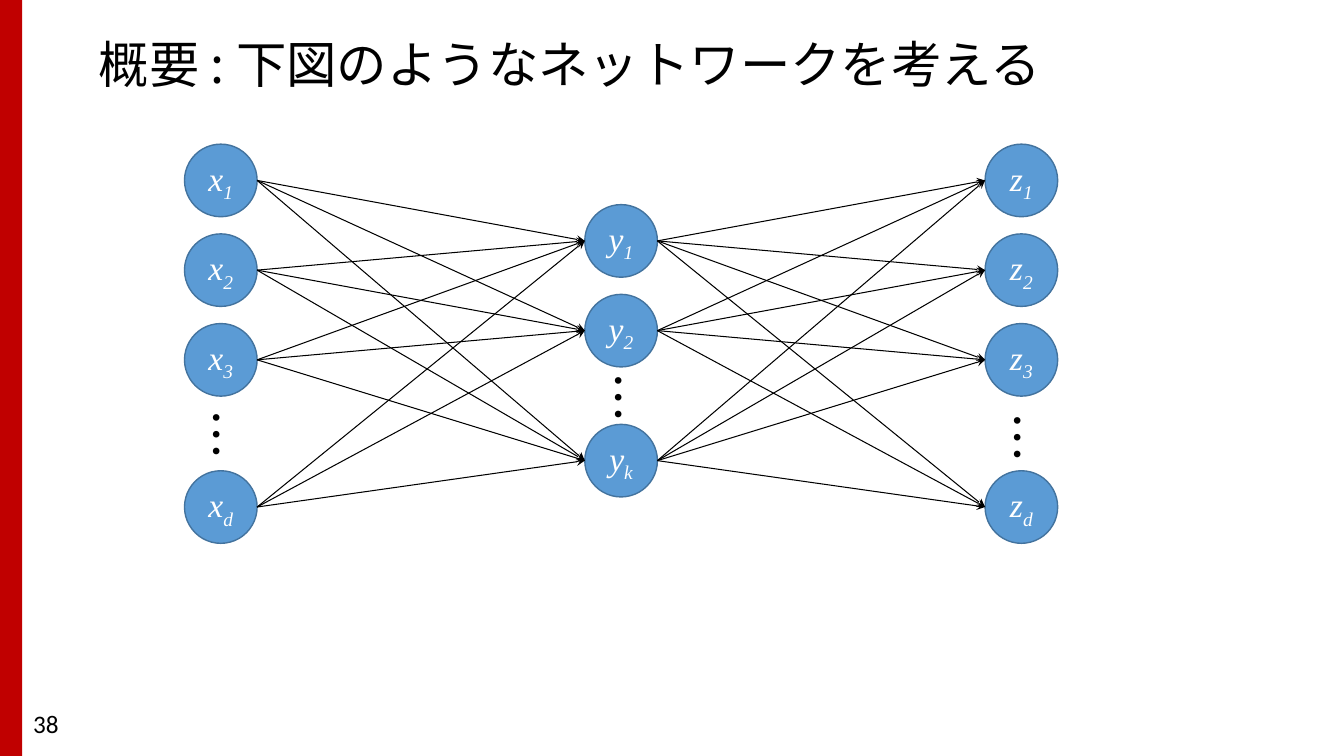
from itertools import product

from lxml.etree import SubElement
from pptx import Presentation
from pptx.dml.color import RGBColor
from pptx.enum.shapes import MSO_CONNECTOR as CONN, MSO_SHAPE as SHAPE
from pptx.enum.text import MSO_ANCHOR as ANCHOR, PP_ALIGN as ALIGN
from pptx.oxml.ns import qn
from pptx.util import Inches, Pt

COLORS = {"bar": "C00000", "node": "5B9BD5", "outline": "43739E",
          "ink": "000000", "light": "FFFFFF"}
JP, SANS, MATH = "Noto Sans CJK JP", "Calibri", "Times New Roman"

NODE = 0.72
OUTER_TOPS = [1.43, 2.32, 3.21, 4.67]
# letter, left, tops, subscripts
LAYERS = [("x", 1.83, OUTER_TOPS, "123d"),
          ("y", 5.8, [2.03, 2.92, 4.21], "12k"),
          ("z", 9.77, OUTER_TOPS, "123d")]
DOTS = [(1.7, 4.1), (5.68, 3.73), (9.64, 4.13)]


def color(name):
    return RGBColor.from_string(COLORS[name])


class NetworkSlide:
    def __init__(self, prs):
        self.s = prs.slides.add_slide(prs.slide_layouts[6])

    def style_run(self, r, size, font, ink):
        r.font.size, r.font.name = Pt(size), font
        r.font.color.rgb = color(ink)
        SubElement(r.font._element, qn("a:ea")).set("typeface", font)

    def shape(self, kind, x, y, w, h, fill, line=None):
        sp = self.s.shapes.add_shape(kind, Inches(x), Inches(y), Inches(w), Inches(h))
        sp.shadow.inherit = False
        sp.fill.solid()
        sp.fill.fore_color.rgb = color(fill)
        if line:
            sp.line.color.rgb = color(line)
            sp.line.width = Pt(1)
        else:
            sp.line.fill.background()
        return sp

    def text(self, text, x, y, w, h, size, font, anchor=ANCHOR.TOP, spacing=1.0):
        sp = self.s.shapes.add_textbox(Inches(x), Inches(y), Inches(w), Inches(h))
        tf = sp.text_frame
        tf.word_wrap = True
        tf.vertical_anchor = anchor
        p = tf.paragraphs[0]
        p.text = text
        p.line_spacing = spacing
        self.style_run(p.runs[0], size, font, "ink")
        return sp

    def node(self, letter, subscript, x, y):
        sp = self.shape(SHAPE.OVAL, x, y, NODE, NODE, "node", "outline")
        tf = sp.text_frame
        tf.margin_left = tf.margin_right = tf.margin_top = tf.margin_bottom = 0
        tf.vertical_anchor = ANCHOR.MIDDLE
        p = tf.paragraphs[0]
        p.alignment = ALIGN.CENTER
        for part in (letter, subscript):
            r = p.add_run()
            r.text = part
            self.style_run(r, 24, MATH, "light")
            r.font.italic = True
        p.runs[1].font._element.set("baseline", "-25000")
        return sp

    def arrow(self, source, target):
        """Join the right side of one node to the left side of another."""
        c = self.s.shapes.add_connector(
            CONN.STRAIGHT,
            source.left + source.width, source.top + source.height // 2,
            target.left, target.top + target.height // 2)
        c.line.color.rgb = color("ink")
        c.line.width = Pt(0.75)
        SubElement(c.line._get_or_add_ln(), qn("a:tailEnd")).set("type", "stealth")
        SubElement(c._element.spPr, qn("a:effectLst"))


def main():
    prs = Presentation()
    prs.slide_width, prs.slide_height = Inches(13.33), Inches(7.5)
    slide = NetworkSlide(prs)

    slide.shape(SHAPE.RECTANGLE, 0, 0, 0.22, 7.5, "bar")
    slide.text("概要 : 下図のようなネットワークを考える", 0.88, 0.27, 11.44, 0.8,
               36, JP, ANCHOR.MIDDLE, 0.9)
    slide.text("38", 0.23, 6.98, 3, 0.4, 18, SANS)

    layers = [[slide.node(letter, sub, x, y) for y, sub in zip(tops, subs)]
              for letter, x, tops, subs in LAYERS]
    for sources, targets in zip(layers, layers[1:]):
        for source, target in product(sources, targets):
            slide.arrow(source, target)
    for x, y in DOTS:
        slide.text("…", x, y, 0.88, 0.61, 36, JP, spacing=0.9).rotation = 90

    prs.save("out.pptx")


if __name__ == "__main__":
    main()
